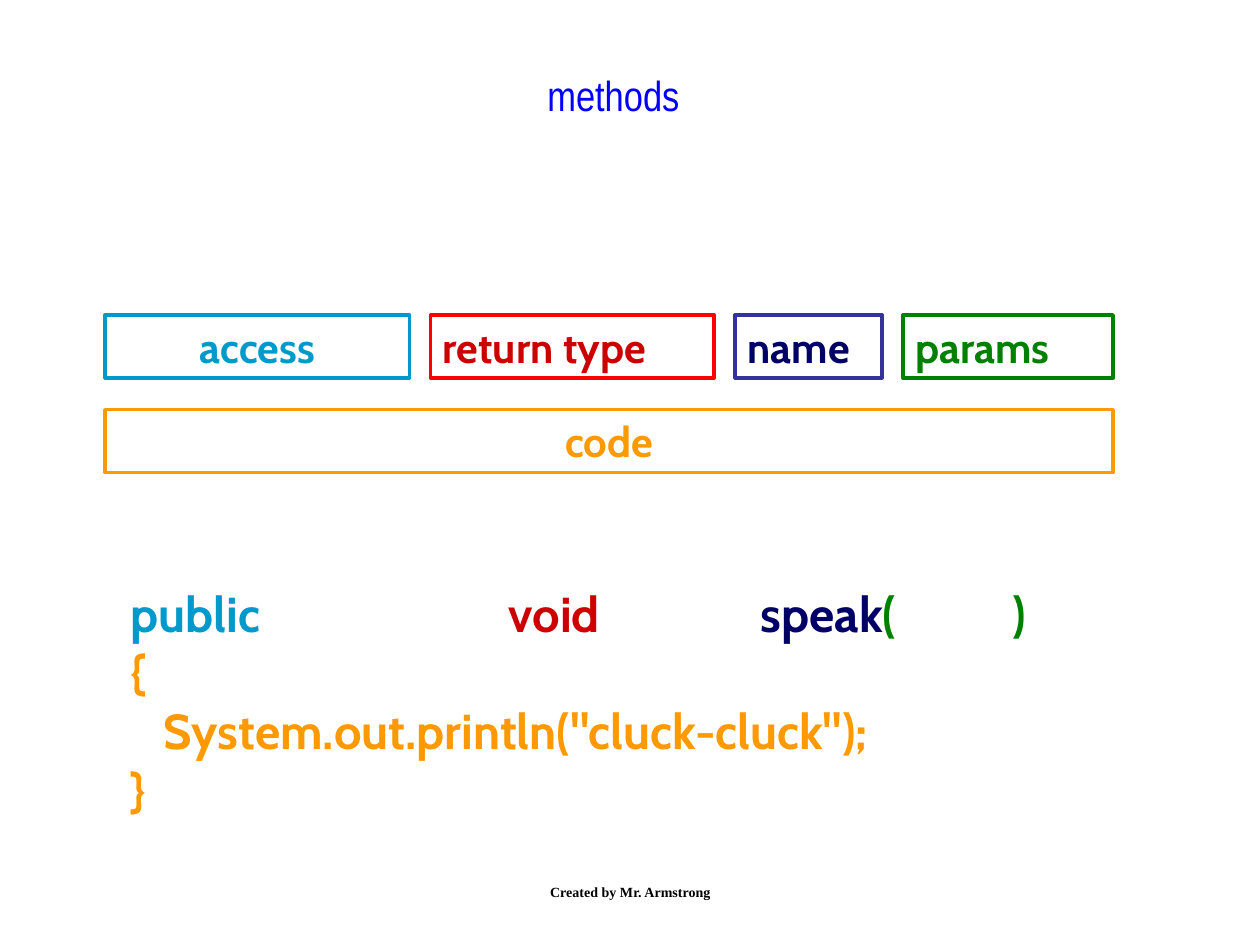
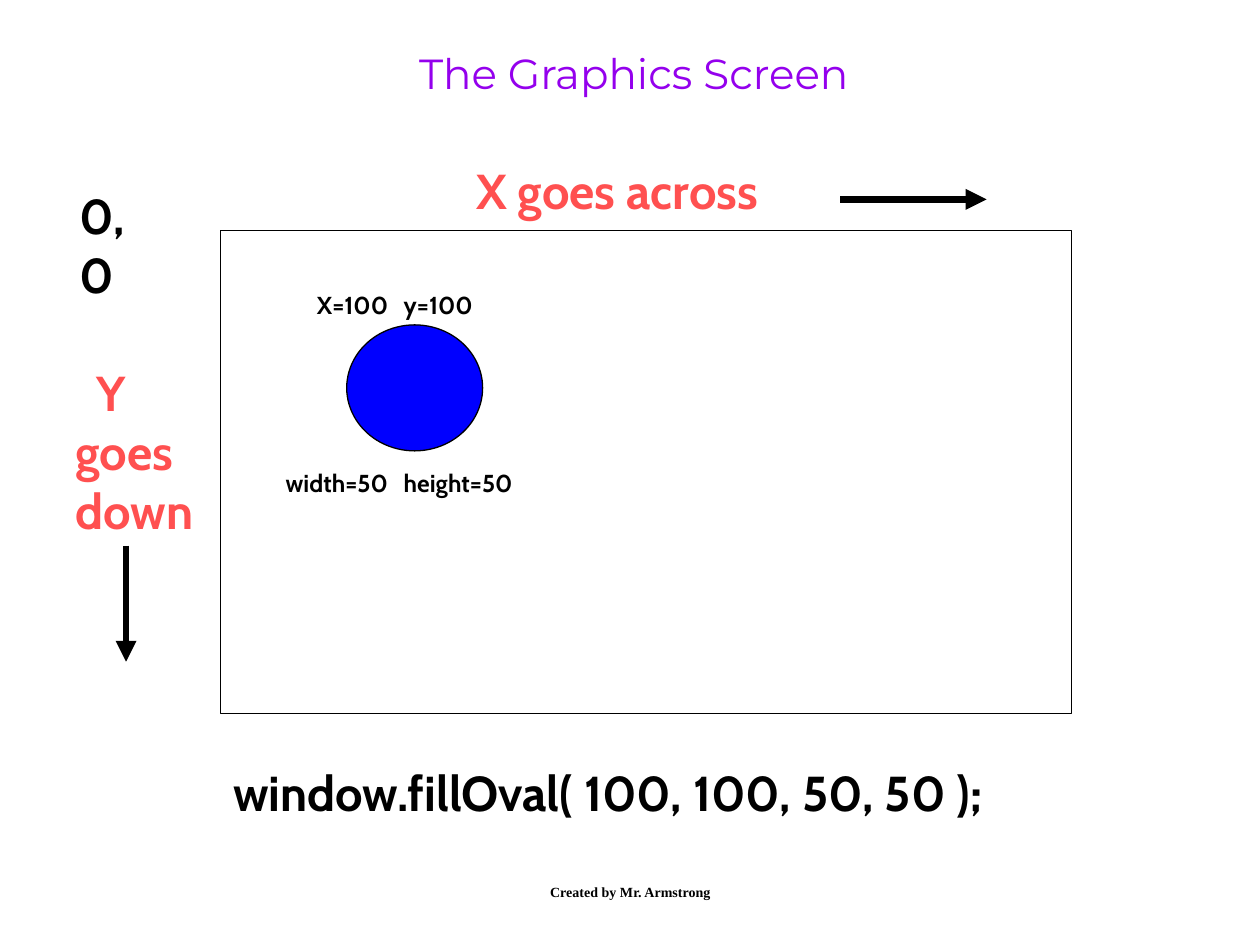
from lxml import etree
from pptx import Presentation
from pptx import util as u
from pptx.dml import color as c
from pptx.enum import shapes, text
from pptx.oxml import ns

Cm = u.Cm
LEFT, CENTER = text.PP_ALIGN.LEFT, text.PP_ALIGN.CENTER
TOP, MIDDLE = text.MSO_ANCHOR.TOP, text.MSO_ANCHOR.MIDDLE
COLORS = {
    "black": "000000", "white": "FFFFFF", "blue": "0000FF",
    "violet": "9400ED", "coral": "FF5050", "cyan": "0099CC",
    "red": "FF0000", "dark red": "CC0000", "indigo": "333399",
    "navy": "000066", "green": "008000", "orange": "FF9900",
}


def color(name):
    return c.RGBColor.from_string(COLORS[name])


def write(shape, lines, ink="black", size=28, font="Cabin", bold=True,
          align=LEFT, anchor=TOP, tabs=(), indents=()):
    frame = shape.text_frame
    frame.word_wrap = True
    frame.vertical_anchor = anchor
    for index, line in enumerate(lines):
        paragraph = frame.paragraphs[0] if index == 0 else frame.add_paragraph()
        paragraph.alignment = align
        properties = paragraph._p.get_or_add_pPr()
        if index < len(indents):
            properties.set("marL", str(Cm(indents[index])))
        if tabs and index == 0:
            stops = etree.SubElement(properties, ns.qn("a:tabLst"))
            for position in tabs:
                etree.SubElement(stops, ns.qn("a:tab"), pos=str(Cm(position)), algn="l")
        parts = [(line, ink)] if isinstance(line, str) else line
        for words, part_ink in parts:
            run = paragraph.add_run()
            run.text = words
            run.font.name = font
            run.font.size = u.Pt(size)
            run.font.bold = bold
            run.font.color.rgb = color(part_ink)


presentation = Presentation()
presentation.slide_width, presentation.slide_height = Cm(25.4), Cm(19.05)
methods, graphics = [
    presentation.slides.add_slide(presentation.slide_layouts[6]) for _ in range(2)
]

TITLES = [
    (methods, "methods", "blue", "Arial Narrow", (4.01, 1.27, 16.71, 2.34)),
    (graphics, "The Graphics Screen", "violet", "Montserrat", (5.51, 0.84, 14.53, 1.8)),
]
for slide, title, ink, font, area in TITLES:
    shape = slide.shapes.add_textbox(*map(Cm, area))
    write(shape, [title], ink=ink, size=24, font=font, bold=False, align=CENTER)
    footer = slide.shapes.add_textbox(Cm(8.69), Cm(17.35), Cm(8.04), Cm(1.27))
    write(footer, ["Created by Mr. Armstrong"], size=8, font="Times New Roman",
          align=CENTER, anchor=MIDDLE)

margin, gap, row_top, row_height = 2.12, 0.42, 6.35, 1.27
parts = [
    ("access", 6.14, "cyan", "cyan", CENTER),
    ("return type", 5.72, "red", "dark red", LEFT),
    ("name", 2.96, "indigo", "navy", LEFT),
    ("params", 4.24, "green", "green", LEFT),
]
boxes = []
left = margin
for label, width, border, ink, align in parts:
    boxes.append((label, left, row_top, width, border, ink, align))
    left += width + gap
boxes.append(("code", margin, 8.26, left - gap - margin, "orange", "orange", CENTER))
for label, left, top, width, border, ink, align in boxes:
    shape = methods.shapes.add_shape(
        shapes.MSO_SHAPE.RECTANGLE, Cm(left), Cm(top), Cm(width), Cm(row_height))
    shape.shadow.inherit = False
    shape.fill.background()
    shape.line.color.rgb = color(border)
    shape.line.width = u.Pt(2)
    write(shape, [label], ink=ink, size=24, align=align)

code = methods.shapes.add_textbox(Cm(2.39), Cm(11.63), Cm(20), Cm(5))
signature = [("public\t", "cyan"), ("void\t", "dark red"),
             ("speak", "navy"), ("(\t)", "green")]
write(code, [signature, "{", 'System.out.println("cluck-cluck");', "}"],
      ink="orange", tabs=(7.62, 12.7, 17.78), indents=(0, 0, 0.66))

figures = [
    (shapes.MSO_SHAPE.RECTANGLE, (4.45, 4.65, 17.15, 9.73), "white"),
    (shapes.MSO_SHAPE.OVAL, (6.99, 6.55, 2.74, 2.54), "blue"),
]
for kind, area, fill in figures:
    shape = graphics.shapes.add_shape(kind, *map(Cm, area))
    shape.shadow.inherit = False
    shape.fill.solid()
    shape.fill.fore_color.rgb = color(fill)
    shape.line.color.rgb = color("black")
    shape.line.width = u.Pt(0.75)

captions = [
    (["0,0"], (1.35, 3.61, 1.91, 2.9), {}),
    (["window.fillOval( 100, 100, 50, 50 );"], (4.45, 15.24, 16.9, 1.45), {}),
    (["X goes across"], (9.35, 3.12, 7.11, 1.45), {"ink": "coral"}),
    (["Y", "goes", "down"], (1.27, 7.19, 3.23, 3.81),
     {"ink": "coral", "indents": (0.43,)}),
    (["X=100\ty=100"], (6.14, 5.72, 5.08, 0.86), {"size": 14, "tabs": (1.75,)}),
    (["width=50\theight=50"], (5.51, 9.32, 6.14, 0.86), {"size": 14, "tabs": (2.38,)}),
]
for lines, area, options in captions:
    write(graphics.shapes.add_textbox(*map(Cm, area)), lines, **options)

for ends in [(2.54, 11, 2.54, 13.34), (16.94, 4.02, 19.89, 4.02)]:
    arrow = graphics.shapes.add_connector(shapes.MSO_CONNECTOR.STRAIGHT, *map(Cm, ends))
    arrow.line.color.rgb = color("black")
    arrow.line.width = u.Pt(4)
    etree.SubElement(arrow.line._get_or_add_ln(), ns.qn("a:tailEnd"), type="triangle")
    etree.SubElement(arrow._element.spPr, ns.qn("a:effectLst"))

presentation.save("out.pptx")
